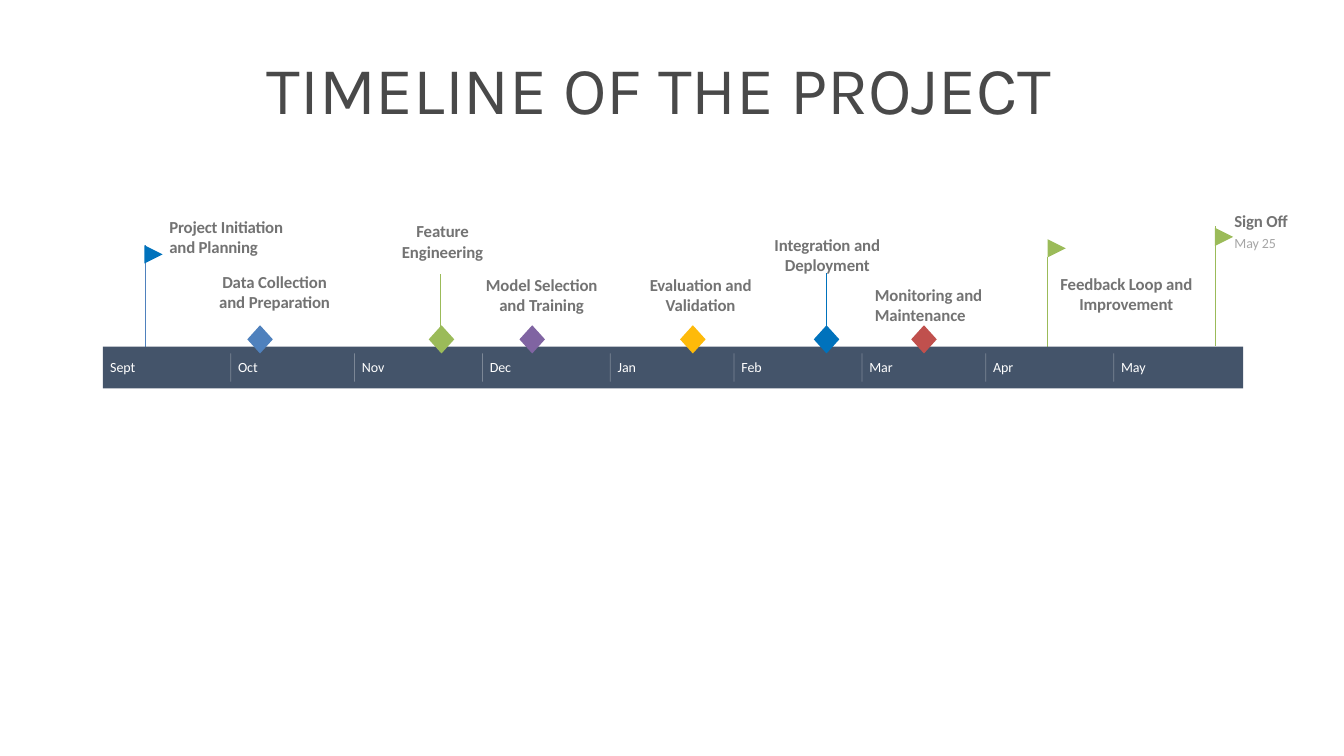
from lxml import etree
from pptx import Presentation
from pptx.dml.color import RGBColor
from pptx.enum import shapes, text
from pptx.oxml import ns
from pptx.util import Inches, Pt

COLORS = {
    "bar": "44546A", "white": "FFFFFF", "title": "494949", "label": "737373",
    "date": "A6A6A6", "blue": "0072BC", "steel": "4F81BD", "green": "9BBB59",
    "purple": "8064A2", "yellow": "FEBA0A", "red": "C0504D",
}
ALIGN, ANCHOR = text.PP_ALIGN, text.MSO_ANCHOR
KIND = shapes.MSO_SHAPE

prs = Presentation()
prs.slide_width, prs.slide_height = Inches(20), Inches(11.25)
slide = prs.slides.add_slide(prs.slide_layouts[5])


def write(words, box, holder=None, size=18, color="label", bold=False, font="Calibri",
          align=ALIGN.LEFT, anchor=ANCHOR.MIDDLE, insets=(0, 0), spacing=-10, wrap=True):
    """Put formatted text in a new text box, or in the given placeholder."""
    left, top, width, height = map(Inches, box)
    holder = holder or slide.shapes.add_textbox(left, top, width, height)
    holder.left, holder.top, holder.width, holder.height = left, top, width, height
    frame = holder.text_frame
    frame.word_wrap, frame.auto_size = wrap, text.MSO_AUTO_SIZE.NONE
    frame.vertical_anchor = anchor
    frame.margin_left = frame.margin_right = Inches(insets[0])
    frame.margin_top = frame.margin_bottom = Inches(insets[1])
    paragraph = frame.paragraphs[0]
    paragraph.alignment = align
    run = paragraph.add_run()
    run.text = words
    run.font.name, run.font.size, run.font.bold = font, Pt(size), bold
    run.font.color.rgb = RGBColor.from_string(COLORS[color])
    if spacing:
        run.font._element.set("spc", str(spacing))


def draw(kind, box, color, alpha=None):
    """Draw a filled shape, or a vertical line when kind is None."""
    left, top, width, height = map(Inches, box)
    if kind is None:
        line = slide.shapes.add_connector(shapes.MSO_CONNECTOR.STRAIGHT,
                                          left, top, left, top + height)
        line.line.width = Pt(0.75)
        line.line.color.rgb = RGBColor.from_string(COLORS[color])
        properties = line._element.spPr
        etree.SubElement(properties, ns.qn("a:effectLst"))
        if alpha:
            rgb = properties.find(".//" + ns.qn("a:srgbClr"))
            etree.SubElement(rgb, ns.qn("a:alpha")).set("val", str(alpha * 1000))
        return line
    shape = slide.shapes.add_shape(kind, left, top, width, height)
    shape.shadow.inherit = False
    shape.fill.solid()
    shape.fill.fore_color.rgb = RGBColor.from_string(COLORS[color])
    shape.line.fill.background()
    return shape


# Title
write("TIMELINE OF THE PROJECT ", (1.01, 0.58, 17.84, 1.4), holder=slide.shapes.title,
      size=72, color="title", font="Karla", align=ALIGN.CENTER, anchor=ANCHOR.BOTTOM,
      insets=(0.15, 0.07), spacing=0)

# Milestone stems, behind the bar: x, top, bottom, colour
for x, top, bottom, color in [
    (15.59, 3.82, 5.33, "green"), (12.29, 4.07, 5.05, "blue"),
    (6.56, 4.08, 5.05, "green"), (2.16, 3.65, 5.16, "steel"), (18.08, 3.37, 5.15, "green"),
]:
    draw(None, (x, top, 0, bottom - top), color)

# Month bar, scaled by the days in each month
BAR_LEFT, BAR_TOP, DAY = 1.53, 5.16, 0.0614
draw(KIND.RECTANGLE, (BAR_LEFT, BAR_TOP, 16.97, 0.62), "bar")
months = {"Sept": 31, "Oct": 30, "Nov": 31, "Dec": 31, "Jan": 30,
          "Feb": 31, "Mar": 30, "Apr": 31, "May": 31}
month_left = BAR_LEFT
for month, days in months.items():
    if month_left > BAR_LEFT:
        draw(None, (month_left, BAR_TOP + 0.1, 0, 0.42), "white", alpha=30)
    write(month, (month_left + 0.11, 5.34, 0.4, 0.25), size=15, color="white", wrap=False)
    month_left += days * DAY

# Flags, turned to point right
for left, top, color in [(2.15, 3.65, "blue"), (15.59, 3.56, "green"), (18.08, 3.39, "green")]:
    draw(KIND.FLOWCHART_MERGE, (left, top, 0.27, 0.27), color).rotation = 270

# Diamonds on the bar's upper edge
for center, color in [(3.87, "steel"), (6.57, "green"), (7.92, "purple"),
                      (10.31, "yellow"), (12.3, "blue"), (13.75, "red")]:
    draw(KIND.DIAMOND, (center - 0.19, 4.84, 0.38, 0.42), color)

# Milestone labels
for milestone, box in [
    ("Data Collection and Preparation", (3.19, 4.22, 1.79, 0.25)),
    ("Feature Engineering", (5.89, 3.45, 1.39, 0.28)),
    ("Model Selection and Training", (7.23, 4.22, 1.66, 0.33)),
    ("Evaluation and Validation", (9.63, 4.22, 1.59, 0.33)),
    ("Integration and Deployment", (11.52, 3.64, 1.58, 0.29)),
    ("Feedback Loop and Improvement", (15.68, 4.2, 2.16, 0.35)),
]:
    write(milestone, box, bold=True, align=ALIGN.CENTER)
write("Project Initiation and Planning", (2.52, 3.37, 1.79, 0.3), bold=True, spacing=-20)
write("Monitoring and Maintenance", (12.92, 4.19, 1.89, 0.71), bold=True,
      anchor=ANCHOR.TOP, insets=(0.1, 0.05))
write("Sign Off", (18.37, 3.13, 0.81, 0.31), bold=True, spacing=-20)
write("May 25", (18.37, 3.47, 0.81, 0.3), size=15, color="date")

prs.save("out.pptx")
